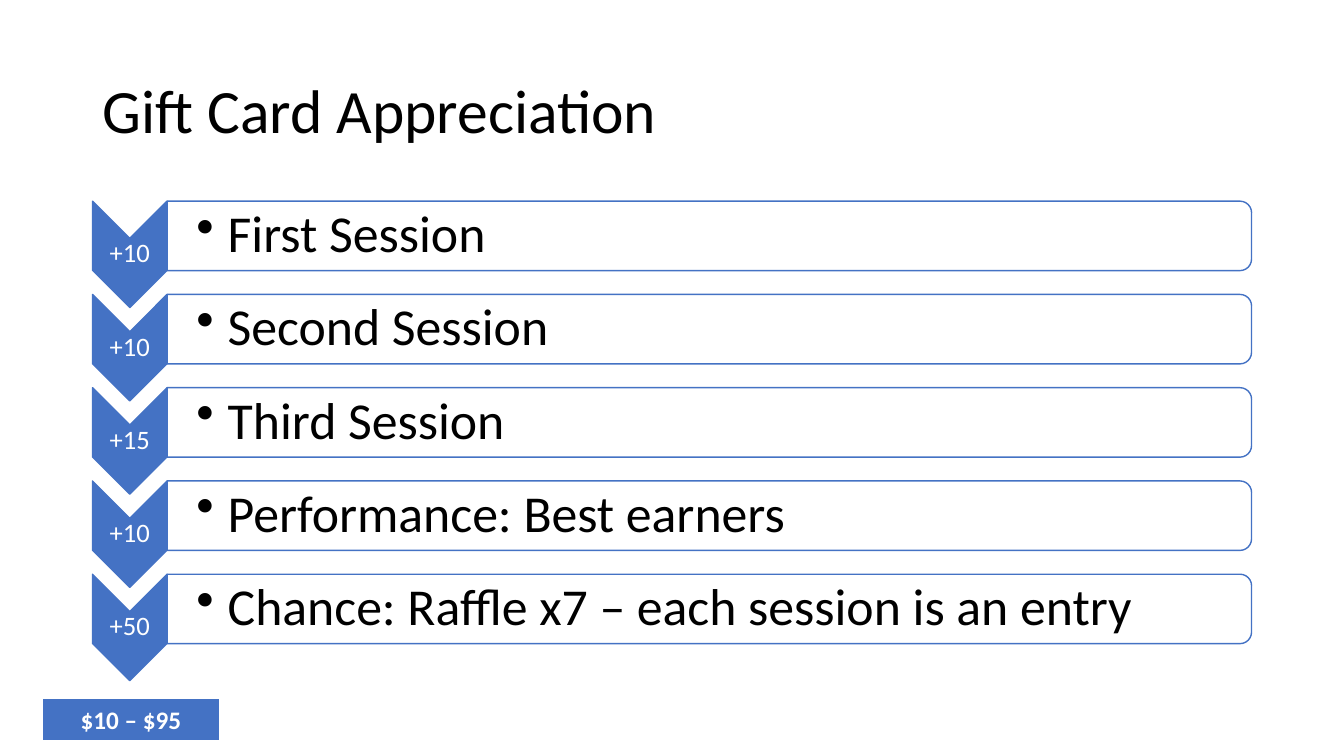
from lxml.etree import SubElement
from pptx import Presentation
from pptx.dml.color import RGBColor
from pptx.enum.shapes import MSO_SHAPE
from pptx.enum.text import MSO_ANCHOR, MSO_AUTO_SIZE, PP_ALIGN
from pptx.oxml.ns import qn
from pptx.util import Cm, Pt

TITLE = "Gift Card Appreciation"
REWARDS = [
    ("+10", "First Session"),
    ("+10", "Second Session"),
    ("+15", "Third Session"),
    ("+10", "Performance: Best earners"),
    ("+50", "Chance: Raffle x7 – each session is an entry"),
]
TOTAL = "$10 – $95"

COLORS = {"blue": "4472C4", "white": "FFFFFF", "black": "000000"}
FONT = "Calibri"

# Lengths in centimetres
LEFT, TOP, PITCH = 2.33, 5.07, 2.35
CHEVRON_W, CHEVRON_H = 1.88, 2.68
BAR_W, BAR_H = 27.33, 1.75
BAR_LEFT = LEFT + CHEVRON_W


def rgb(name):
    """Return the named colour."""
    return RGBColor.from_string(COLORS[name])


def set_text(sp, text, size, color="black", bold=False, align=PP_ALIGN.LEFT,
             spacing=0.9, insets=None, bullet=False):
    """Write one formatted paragraph into a shape."""
    tf = sp.text_frame
    tf.word_wrap = True
    tf.auto_size = MSO_AUTO_SIZE.NONE
    tf.vertical_anchor = MSO_ANCHOR.MIDDLE
    if insets:
        tf.margin_left, tf.margin_top, tf.margin_right, tf.margin_bottom = map(Cm, insets)
    p = tf.paragraphs[0]
    p.alignment = align
    p.line_spacing = spacing
    if bullet:
        p.level = 1
        pPr = p._p.get_or_add_pPr()
        pPr.set("marL", str(Cm(0.79)))
        pPr.set("indent", str(Cm(-0.79)))
        SubElement(pPr, qn("a:buChar"), char="•")
    r = p.add_run()
    r.text = text
    r.font.name, r.font.size, r.font.bold = FONT, Pt(size), bold
    r.font.color.rgb = rgb(color)


def add_text(shapes, x, y, w, h, text, **style):
    """Add a text box."""
    set_text(shapes.add_textbox(Cm(x), Cm(y), Cm(w), Cm(h)), text, **style)


def add_shape(shapes, kind, x, y, w, h, fill, line, width=1, turned=False):
    """Add a shape filling the given area, turned a quarter if asked."""
    if turned:
        x, y, w, h = x + (w - h) / 2, y + (h - w) / 2, h, w
    sp = shapes.add_shape(kind, Cm(x), Cm(y), Cm(w), Cm(h))
    sp.rotation = 90 if turned else 0
    sp.shadow.inherit = False
    sp.fill.solid()
    sp.fill.fore_color.rgb = rgb(fill)
    sp.line.color.rgb = rgb(line)
    sp.line.width = Pt(width)
    return sp


def add_reward(shapes, y, amount, label):
    """Add one row: a chevron with its amount and a bar with its label."""
    add_shape(shapes, MSO_SHAPE.CHEVRON, LEFT, y, CHEVRON_W, CHEVRON_H,
              "blue", "blue", turned=True)
    add_text(shapes, LEFT, y + 0.94, CHEVRON_W, 0.8, amount, size=19, color="white",
             align=PP_ALIGN.CENTER, insets=(0.03,) * 4)
    bar = add_shape(shapes, MSO_SHAPE.ROUND_2_SAME_RECTANGLE, BAR_LEFT, y, BAR_W, BAR_H,
                    "white", "blue", turned=True)
    SubElement(bar.fill._xPr.find(qn("a:solidFill"))[0], qn("a:alpha"), val="90000")
    add_text(shapes, BAR_LEFT, y + 0.09, BAR_W - 0.08, BAR_H - 0.18, label, size=37,
             insets=(0.74, 0.06, 0.06, 0.06), bullet=True)


prs = Presentation()
prs.slide_width, prs.slide_height = Cm(33.87), Cm(19.05)
s = prs.slides.add_slide(prs.slide_layouts[5])

title = s.shapes.title
title.left, title.top, title.width, title.height = map(Cm, (2.33, 1.01, 29.21, 3.68))
set_text(title, TITLE, size=44)

rewards = s.shapes.add_group_shape()
for i, (amount, label) in enumerate(REWARDS):
    add_reward(rewards.shapes, TOP + i * PITCH, amount, label)

total = add_shape(s.shapes, MSO_SHAPE.RECTANGLE, 1.05, 17.6, 4.5, 1.07, "blue", "white", 1.5)
set_text(total, TOTAL, size=18, color="white", bold=True, align=PP_ALIGN.CENTER, spacing=1.0)

prs.save("out.pptx")
